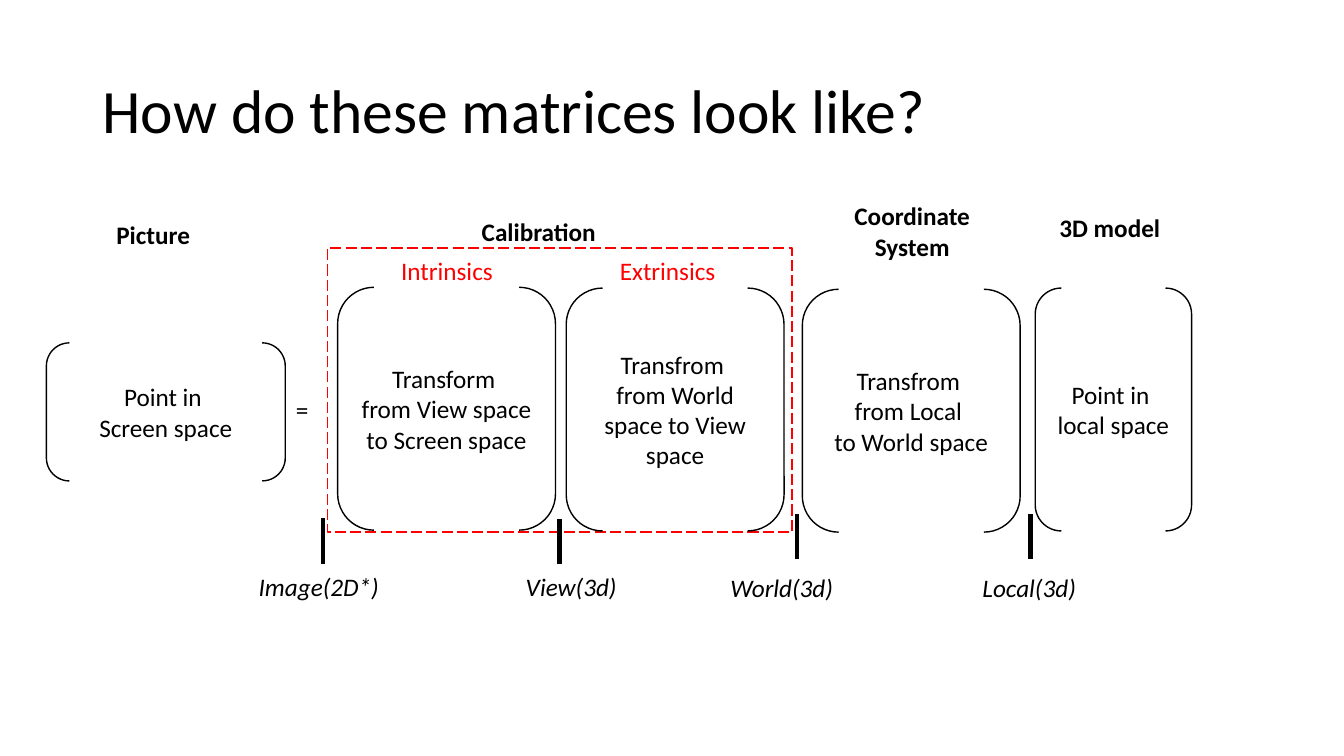
import dataclasses

import lxml.etree
import pptx
import pptx.dml.color
import pptx.enum.dml
import pptx.enum.shapes
import pptx.enum.text
import pptx.oxml.ns
import pptx.slide
import pptx.text.text
import pptx.util

Cm = pptx.util.Cm
Pt = pptx.util.Pt
ALIGN = pptx.enum.text.PP_ALIGN
ANCHOR = pptx.enum.text.MSO_ANCHOR
FONT = "Calibri"
COLORS = {"ink": "000000", "accent": "FF0000", "paper": "FFFFFF"}


@dataclasses.dataclass
class Label:
    text: str
    left: float
    top: float
    width: float
    height: float = 1.02
    color: str = "ink"
    bold: bool = False
    slant: bool = False
    center: bool = False
    wrap: bool = True


@dataclasses.dataclass
class Matrix:
    text: str
    left: float
    top: float
    width: float = 5.49
    height: float = 6.12


@dataclasses.dataclass
class Tick:
    x: float
    top: float


TICK_SIZE = 1.14
LABELS = [
    Label("=", 7.21, 9.8, 1.04, 1.3, wrap=False),
    # Headings
    Label("Calibration", 11.89, 5.33, 5.08, bold=True),
    Label("Coordinate\vSystem", 20.45, 4.93, 5.08, 1.8, bold=True, center=True),
    Label("Intrinsics", 9.86, 6.3, 5.08, 1.3, "accent"),
    Label("Extrinsics", 15.37, 6.3, 5.08, 1.3, "accent"),
    Label("3D model", 25.43, 5.23, 5.08, bold=True, center=True),
    Label("Picture", 1.32, 5.41, 5.08, bold=True, center=True),
    # Names of the spaces
    Label("Image(2D*)", 6.27, 14.27, 3.58, slant=True, wrap=False),
    Label("View(3d)", 13, 14.27, 2.84, slant=True, wrap=False),
    Label("World(3d)", 18.16, 14.3, 3.15, slant=True, wrap=False),
    Label("Local(3d)", 24.51, 14.3, 2.9, slant=True, wrap=False),
]
TICKS = [Tick(25.97, 12.95), Tick(20.09, 12.95), Tick(14.1, 13.08), Tick(8.13, 13.06)]
MATRICES = [
    Matrix("Point in \nlocal space", 26.09, 7.26, 3.94),
    Matrix("Transfrom \vfrom Local \vto World space", 20.22, 7.29),
    Matrix("Transfrom \vfrom World space to View space", 14.27, 7.26),
    Matrix("Transform \vfrom View space to Screen space", 8.51, 7.24),
    Matrix("Point in \nScreen space", 1.17, 8.64, 6.02, 3.48),
]


def shade(name: str) -> pptx.dml.color.RGBColor:
    return pptx.dml.color.RGBColor.from_string(COLORS[name])


def write(frame: pptx.text.text.TextFrame, text: str, size: float = 18,
          color: str = "ink", bold: bool = False, slant: bool = False,
          align: ALIGN = ALIGN.LEFT) -> None:
    frame.text = text
    for para in frame.paragraphs:
        para.alignment = align
        for run in para.runs:
            font = run.font
            font.name, font.size = FONT, Pt(size)
            font.bold, font.italic = bold, slant
            font.color.rgb = shade(color)


def add_label(slide: pptx.slide.Slide, label: Label) -> None:
    box = slide.shapes.add_textbox(
        Cm(label.left), Cm(label.top), Cm(label.width), Cm(label.height))
    frame = box.text_frame
    frame.word_wrap = label.wrap
    frame.auto_size = pptx.enum.text.MSO_AUTO_SIZE.SHAPE_TO_FIT_TEXT
    write(frame, label.text, color=label.color, bold=label.bold, slant=label.slant,
          align=ALIGN.CENTER if label.center else ALIGN.LEFT)


def add_frame(slide: pptx.slide.Slide) -> None:
    box = slide.shapes.add_shape(pptx.enum.shapes.MSO_SHAPE.RECTANGLE,
                                 Cm(8.25), Cm(6.25), Cm(11.71), Cm(7.16))
    box.shadow.inherit = False
    box.fill.background()
    box.line.color.rgb = shade("accent")
    box.line.width = Pt(1)
    box.line.dash_style = pptx.enum.dml.MSO_LINE.LONG_DASH


def add_tick(slide: pptx.slide.Slide, tick: Tick) -> None:
    line = slide.shapes.add_connector(
        pptx.enum.shapes.MSO_CONNECTOR.STRAIGHT,
        Cm(tick.x), Cm(tick.top + TICK_SIZE), Cm(tick.x), Cm(tick.top))
    line.line.color.rgb = shade("ink")
    line.line.width = Pt(3)
    lxml.etree.SubElement(line._element.spPr, pptx.oxml.ns.qn("a:effectLst"))


def add_matrix(slide: pptx.slide.Slide, matrix: Matrix) -> None:
    shape = slide.shapes.add_shape(
        pptx.enum.shapes.MSO_SHAPE.DOUBLE_BRACKET,
        Cm(matrix.left), Cm(matrix.top), Cm(matrix.width), Cm(matrix.height))
    shape.shadow.inherit = False
    shape.fill.solid()
    shape.fill.fore_color.rgb = shade("paper")
    shape.line.color.rgb = shade("ink")
    shape.line.width = Pt(1)
    shape.text_frame.word_wrap = True
    shape.text_frame.vertical_anchor = ANCHOR.MIDDLE
    write(shape.text_frame, matrix.text, align=ALIGN.CENTER)


def main() -> None:
    deck = pptx.Presentation()
    deck.slide_width, deck.slide_height = Cm(33.87), Cm(19.05)
    slide = deck.slides.add_slide(deck.slide_layouts[5])

    # Title
    title = slide.shapes.title
    title.left, title.top = Cm(2.33), Cm(1.02)
    title.width, title.height = Cm(29.21), Cm(3.68)
    title.text_frame.vertical_anchor = ANCHOR.MIDDLE
    write(title.text_frame, "How do these matrices look like?", size=44)
    title.text_frame.paragraphs[0].line_spacing = 0.9

    # Dashed frame, labels, ticks and matrices
    add_frame(slide)
    for label in LABELS:
        add_label(slide, label)
    for tick in TICKS:
        add_tick(slide, tick)
    for matrix in MATRICES:
        add_matrix(slide, matrix)

    deck.save("out.pptx")


if __name__ == "__main__":
    main()
